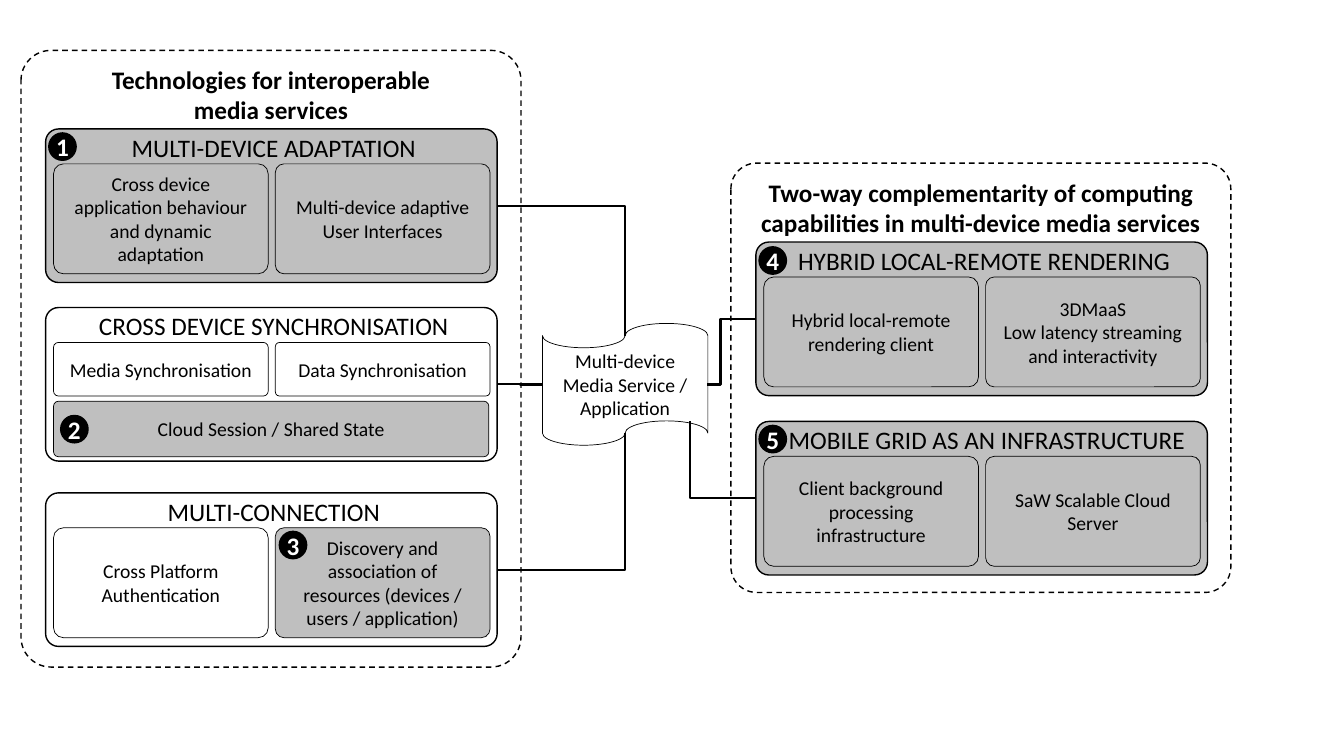
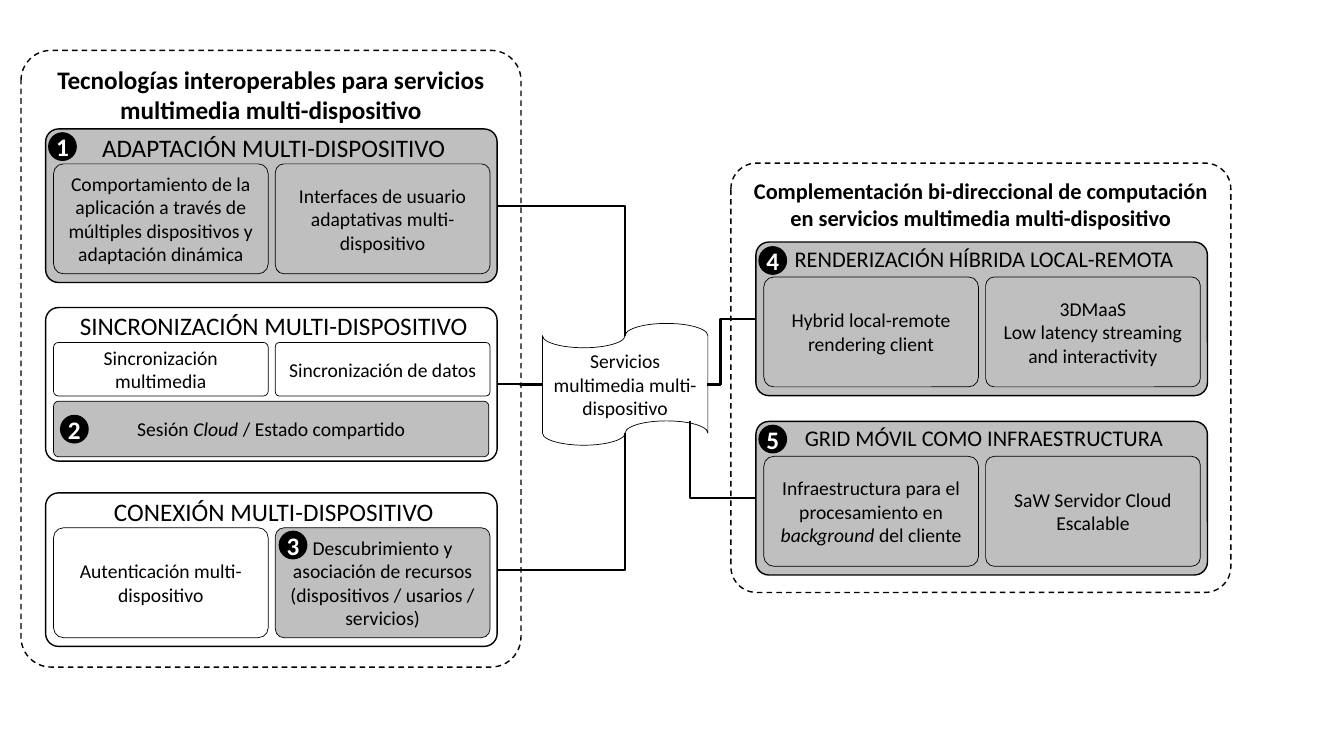
import pptx
import pptx.util
import pptx.dml.color
import pptx.enum.dml
import pptx.enum.shapes
import pptx.enum.text
import pptx.oxml
import pptx.oxml.ns

Cm = pptx.util.Cm
Kind = pptx.enum.shapes.MSO_SHAPE
Anchor = pptx.enum.text.MSO_ANCHOR
COLORS = {"black": "000000", "white": "FFFFFF", "grey": "BFBFBF"}
FONT = "Calibri"


def write(box, text, size=14, bold=False, color="black", inset=None, anchor=Anchor.MIDDLE):
    """Centred text; \\n starts a paragraph, \\v breaks a line, *stars* mark italics."""
    frame = box.text_frame
    frame.word_wrap = True
    frame.vertical_anchor = anchor
    if inset is not None:
        frame.margin_left = frame.margin_right = Cm(inset)
        frame.margin_top = frame.margin_bottom = Cm(inset)
    for row, content in enumerate(text.split("\n")):
        para = frame.add_paragraph() if row else frame.paragraphs[0]
        para.alignment = pptx.enum.text.PP_ALIGN.CENTER
        for line_no, line in enumerate(content.split("\v")):
            if line_no:
                para.add_line_break()
            for part, words in enumerate(line.split("*")):
                span = para.add_run()
                span.text = words
                span.font.name = FONT
                span.font.size = pptx.util.Pt(size)
                span.font.bold = bold
                span.font.italic = part % 2 == 1
                span.font.color.rgb = pptx.dml.color.RGBColor.from_string(COLORS[color])


def add_block(page, kind, place, fill=None, weight=1, radius=None):
    block = page.shapes.add_shape(kind, *[Cm(length) for length in place])
    block.shadow.inherit = False
    if fill:
        block.fill.solid()
        block.fill.fore_color.rgb = pptx.dml.color.RGBColor.from_string(COLORS[fill])
    else:
        block.fill.background()
    block.line.color.rgb = pptx.dml.color.RGBColor.from_string(COLORS["black"])
    block.line.width = pptx.util.Pt(weight)
    if radius:
        block.adjustments[0] = radius
    return block


# Layout, in centimetres
PANEL_W, PANEL_H = 11.38, 3.87
LEFT_X, RIGHT_X = 1.15, 19.05
CARD_X, CARD_Y, CARD_W, CARD_H = (0.2, 5.79), 0.88, 5.41, 2.77
FLAT_H, WIDE_Y, WIDE_W, WIDE_H = 1.35, 2.36, 10.97, 1.4
BADGE = 0.69
TAPE = (13.67, 8.15, 4.17, 3.07)
FRAMES = [(0.53, 1.27, 12.6, 15.54), (18.42, 4.11, 12.6, 10.82)]
LEFT_SITE, RIGHT_SITE = 1, 3

# Cards of a panel: offset x, offset y, width, height, corner radius
pair = [(CARD_X[0], CARD_Y, CARD_W, CARD_H, 0.09), (CARD_X[1], CARD_Y, CARD_W, CARD_H, 0.078)]
sync = [(x, y, w, FLAT_H, r) for x, y, w, h, r in pair]
sync.append((CARD_X[0], WIDE_Y, WIDE_W, WIDE_H, 0.09))

# Panels: x, y, fill, cards, card fills, badge offset, link site, link end, bend
PANELS = [
    (LEFT_X, 3.25, "grey", pair, ["grey", "grey"], (0.08, 0.1), RIGHT_SITE, (15.75, 8.46), None),
    (LEFT_X, 7.75, "white", sync, [None, None, "grey"], (0.38, 2.72), RIGHT_SITE, (13.67, 9.69), 0.5),
    (LEFT_X, 12.42, "white", pair, [None, "grey"], (5.89, 0.97), RIGHT_SITE, (15.75, 10.92), None),
    (RIGHT_X, 6.1, "grey", pair, ["grey", "grey"], (0.08, 0.12), LEFT_SITE, (17.83, 9.69), 0.73),
    (RIGHT_X, 10.62, "grey", pair, ["grey", "grey"], (0.08, 0.1), LEFT_SITE, (17.4, 10.62), None),
]

# Wording: the tape, frame titles (text, width, size), panels (heading, size, cards)
SLIDES = [
    {
        "tape": "Multi-device Media Service / Application",
        "titles": [
            ("Technologies for interoperable\vmedia services", 11.38, 18),
            ("Two-way complementarity of computing capabilities in multi-device media services", 11.86, 18),
        ],
        "panels": [
            ("MULTI-DEVICE ADAPTATION", 18,
             ["Cross device application behaviour and dynamic adaptation",
              "Multi-device adaptive User Interfaces"]),
            ("CROSS DEVICE SYNCHRONISATION", 18,
             ["Media Synchronisation", "Data Synchronisation", "Cloud Session / Shared State"]),
            ("MULTI-CONNECTION", 18,
             ["Cross Platform Authentication",
              "Discovery and association of resources (devices / users / application)"]),
            ("HYBRID LOCAL-REMOTE RENDERING", 18,
             ["Hybrid local-remote rendering client",
              "3DMaaS\nLow latency streaming and interactivity"]),
            (" MOBILE GRID AS AN INFRASTRUCTURE", 18,
             ["Client background processing infrastructure", "SaW Scalable Cloud Server"]),
        ],
    },
    {
        "tape": "Servicios multimedia multi-dispositivo",
        "titles": [
            ("Tecnologías interoperables para servicios multimedia multi-dispositivo", 11.38, 18),
            ("Complementación bi-direccional de computación en servicios multimedia multi-dispositivo",
             12.57, 16),
        ],
        "panels": [
            ("ADAPTACIÓN MULTI-DISPOSITIVO", 18,
             ["Comportamiento de la aplicación a través de múltiples dispositivos y adaptación dinámica",
              "Interfaces de usuario adaptativas multi-dispositivo"]),
            ("SINCRONIZACIÓN MULTI-DISPOSITIVO", 18,
             ["Sincronización multimedia", "Sincronización de datos",
              "Sesión *Cloud* / Estado compartido"]),
            ("CONEXIÓN MULTI-DISPOSITIVO", 18,
             ["Autenticación multi-dispositivo",
              "Descubrimiento y asociación de recursos (dispositivos / usarios / servicios)"]),
            ("RENDERIZACIÓN HÍBRIDA LOCAL-REMOTA", 16,
             ["Hybrid local-remote rendering client",
              "3DMaaS\nLow latency streaming and interactivity"]),
            ("GRID MÓVIL COMO INFRAESTRUCTURA", 16,
             ["Infraestructura para el procesamiento en *background* del cliente",
              "SaW Servidor Cloud Escalable"]),
        ],
    },
]

deck = pptx.Presentation()
deck.slide_width, deck.slide_height = Cm(33.87), Cm(19.05)

for wording in SLIDES:
    page = deck.slides.add_slide(deck.slide_layouts[6])

    # Service in the middle
    tape = add_block(page, Kind.FLOWCHART_PUNCHED_TAPE, TAPE, weight=0.5)
    write(tape, wording["tape"])

    # Dashed frames with titles centred on them
    for (x, y, w, h), (title, title_w, size) in zip(FRAMES, wording["titles"]):
        frame = add_block(page, Kind.ROUNDED_RECTANGLE, (x, y, w, h), radius=0.06)
        frame.line.dash_style = pptx.enum.dml.MSO_LINE.DASH
        title_h = 1.8 if size == 18 else 1.63
        box = page.shapes.add_textbox(Cm(x + (w - title_w) / 2), Cm(y + 0.23), Cm(title_w), Cm(title_h))
        write(box, title, size=size, bold=True, anchor=Anchor.TOP)

    for number, (spec_row, texts) in enumerate(zip(PANELS, wording["panels"]), 1):
        x, y, fill, cards, card_fills, badge_at, site, link_end, bend = spec_row
        heading, size, card_texts = texts

        # Panel and heading
        panel = add_block(page, Kind.ROUNDED_RECTANGLE, (x, y, PANEL_W, PANEL_H), fill, radius=0.084)
        heading_h = 1.02 if size == 18 else 0.94
        box = page.shapes.add_textbox(Cm(x), Cm(y - 0.05), Cm(11.5), Cm(heading_h))
        write(box, heading, size=size, anchor=Anchor.TOP)

        # Cards
        for (dx, dy, w, h, radius), card_fill, text in zip(cards, card_fills, card_texts):
            card = add_block(page, Kind.ROUNDED_RECTANGLE, (x + dx, y + dy, w, h), card_fill, 0.5, radius)
            write(card, text)

        # Link from the panel to the service: one corner, or two when a bend is given
        link = page.shapes.add_connector(pptx.enum.shapes.MSO_CONNECTOR.ELBOW, Cm(x), Cm(y),
                                         Cm(link_end[0]), Cm(link_end[1]))
        link.begin_connect(panel, site)
        link.line.color.rgb = pptx.dml.color.RGBColor.from_string(COLORS["black"])
        link.line.width = pptx.util.Pt(1.5)
        properties = link._element.spPr
        properties.append(pptx.oxml.parse_xml("<a:effectLst %s/>" % pptx.oxml.ns.nsdecls("a")))
        geometry = properties.find(pptx.oxml.ns.qn("a:prstGeom"))
        if bend is None:
            geometry.set("prst", "bentConnector2")
        else:
            guide = pptx.oxml.parse_xml('<a:avLst %s><a:gd name="adj1" fmla="val %d"/></a:avLst>'
                                        % (pptx.oxml.ns.nsdecls("a"), round(bend * 100000)))
            for old in list(geometry):
                geometry.remove(old)
            geometry.append(guide)

        # Number badge
        badge = add_block(page, Kind.OVAL, (x + badge_at[0], y + badge_at[1], BADGE, BADGE), "black")
        write(badge, str(number), size=18, bold=True, color="white", inset=0)

deck.save("out.pptx")
